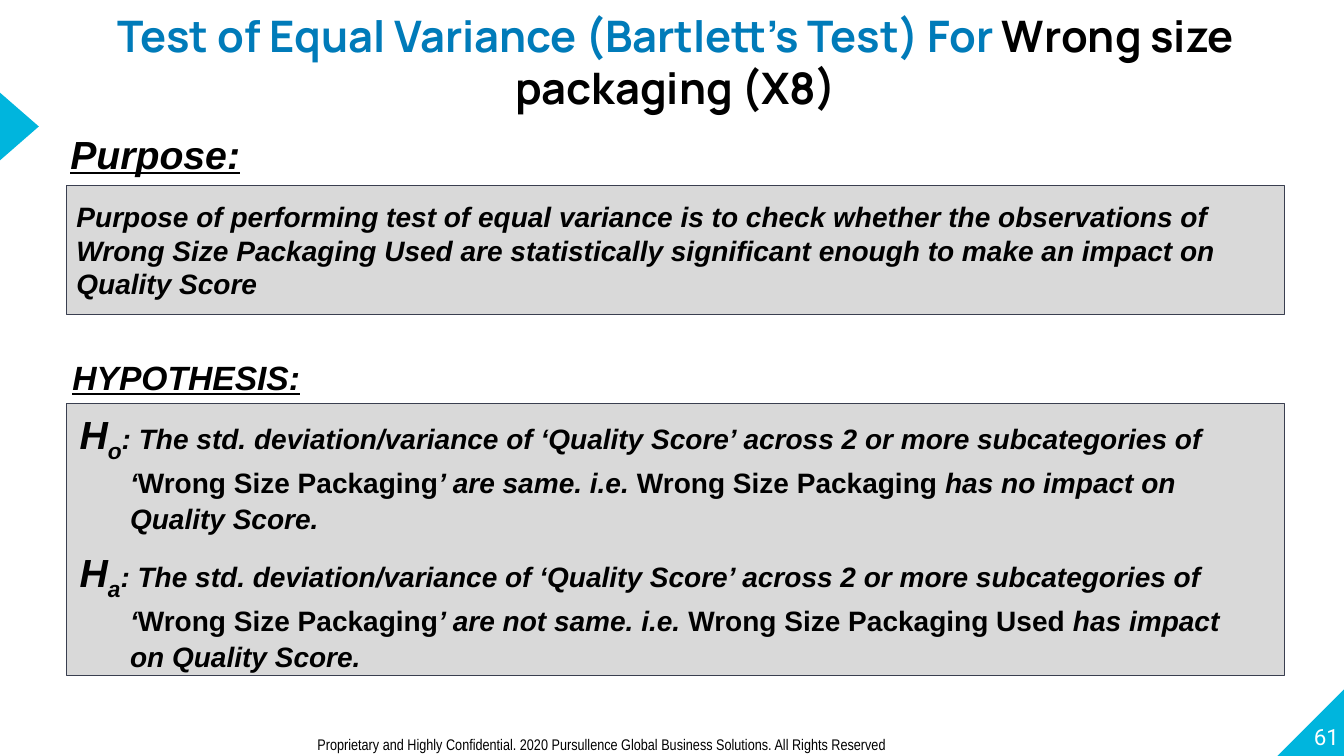
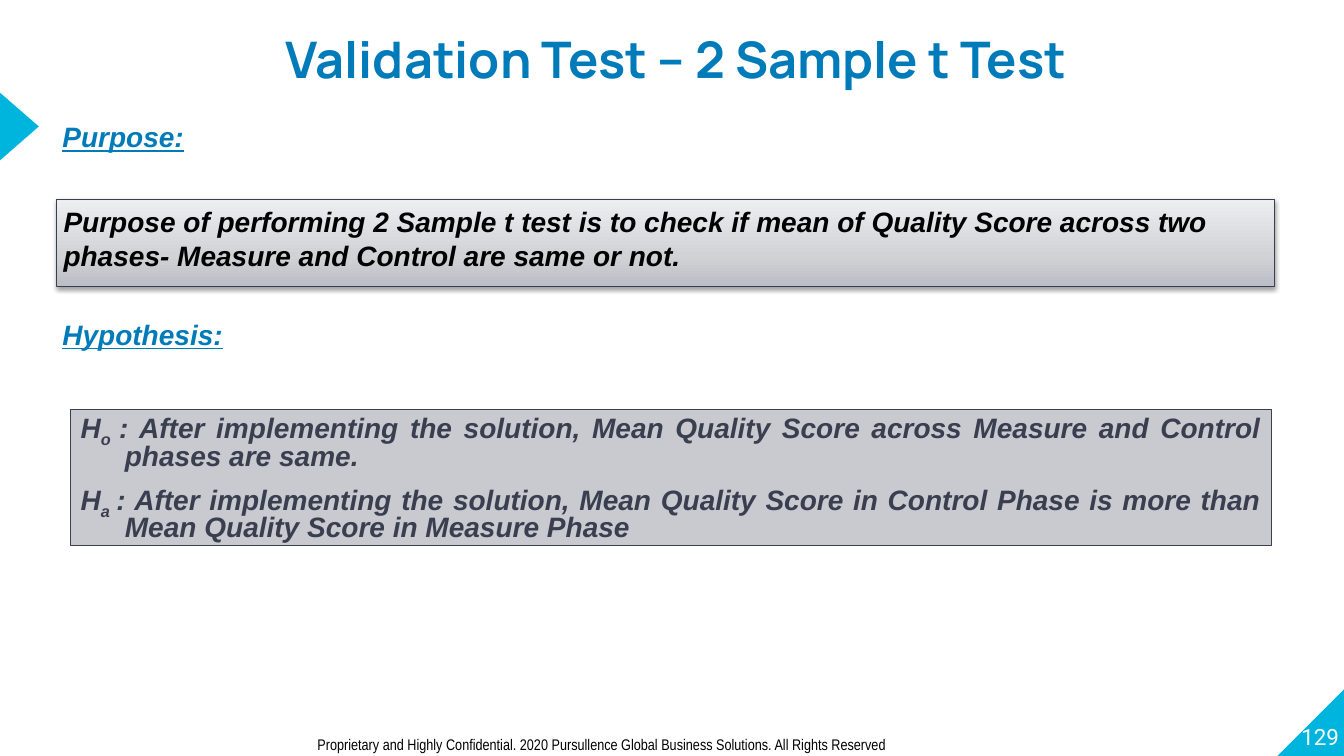
from copy import deepcopy

from lxml import etree
from pptx import Presentation
from pptx import util as u
from pptx.dml import color
from pptx.enum import shapes, text
from pptx.oxml import ns

CYAN = "00B5DD"
BLUE = "007BB9"
BLACK = "000000"
WHITE = "FFFFFF"
SLATE = "3A3F50"
GREY = "D9D9D9"
SILVER = "C8CAD0"
GRADIENT = [(0, "BCBEC5"), (0.35, "D0D2D6"), (1, "EDEEF0")]

TITLE = {"name": "Manrope", "bold": True}
BODY = {"name": "Arial", "size": u.Pt(20), "bold": True, "italic": True}
HEADING = BODY | {"underline": True}
PAGE = {"name": "Roboto", "size": u.Pt(16)}
FOOTER = {"name": "Arial Narrow", "size": u.Pt(11)}
UPRIGHT = {"italic": False}
FOOTER_TEXT = (
    "Proprietary and Highly Confidential. 2020 Pursullence Global "
    "Business Solutions. All Rights Reserved"
)

STANDARD_INSETS = (0.1, 0.05, 0.1, 0.05)
NO_INSETS = (0, 0, 0, 0)
TOP = text.MSO_ANCHOR.TOP
MIDDLE = text.MSO_ANCHOR.MIDDLE
BOTTOM = text.MSO_ANCHOR.BOTTOM
LEFT = text.PP_ALIGN.LEFT
CENTER = text.PP_ALIGN.CENTER
RIGHT = text.PP_ALIGN.RIGHT
JUSTIFY = text.PP_ALIGN.JUSTIFY


def rgb(value):
    return color.RGBColor.from_string(value)


def apply(target, values):
    for name, value in values.items():
        setattr(target, name, value)


def add_run(paragraph, content, style, hue, subscript=False):
    run = paragraph.add_run()
    run.text = content
    apply(run.font, style)
    run.font.color.rgb = rgb(hue)
    if subscript:
        run._r.get_or_add_rPr().set("baseline", "-25000")


def format_frame(frame, insets=STANDARD_INSETS, anchor=TOP):
    sides = ("margin_left", "margin_top", "margin_right", "margin_bottom")
    apply(frame, dict(zip(sides, map(u.Inches, insets))))
    apply(frame, {"word_wrap": True, "vertical_anchor": anchor})


def add_text(slide, box, runs, style, align=LEFT, insets=STANDARD_INSETS, anchor=TOP, spacing=1):
    shape = slide.shapes.add_textbox(*map(u.Inches, box))
    format_frame(shape.text_frame, insets, anchor)
    paragraph = shape.text_frame.paragraphs[0]
    apply(paragraph, {"alignment": align, "line_spacing": spacing})
    for content, hue in runs:
        add_run(paragraph, content, style, hue)


def add_shape(slide, kind, box, fill=None, line=None):
    shape = slide.shapes.add_shape(kind, *map(u.Inches, box))
    shape.shadow.inherit = False
    if fill:
        shape.fill.solid()
        shape.fill.fore_color.rgb = rgb(fill)
    if line:
        shape.line.color.rgb = rgb(line)
        shape.line.width = u.Pt(0.75)
    else:
        shape.line.fill.background()
    return shape


def add_panel(slide, box, fill=None, insets=STANDARD_INSETS):
    panel = add_shape(slide, shapes.MSO_SHAPE.RECTANGLE, box, fill, SLATE)
    format_frame(panel.text_frame, insets)
    return panel


def add_purpose(panel, content):
    paragraph = panel.text_frame.paragraphs[0]
    paragraph.alignment = LEFT
    add_run(paragraph, content, BODY, BLACK)


def add_hypotheses(panel, hypotheses, hue, symbol_size, indent, gap, layout):
    frame = panel.text_frame
    symbol = BODY | {"size": u.Pt(symbol_size)}
    for index, (letter, runs) in enumerate(hypotheses):
        paragraph = frame.add_paragraph() if index else frame.paragraphs[0]
        apply(paragraph, layout)
        if index:
            paragraph.space_before = u.Pt(gap)
        properties = paragraph._p.get_or_add_pPr()
        properties.set("marL", str(u.Inches(indent)))
        properties.set("indent", str(-u.Inches(indent)))
        add_run(paragraph, "H", symbol, hue)
        add_run(paragraph, letter, symbol, hue, subscript=True)
        for content, changes in runs:
            add_run(paragraph, content, BODY | changes, hue)


def fill_gradient(shape, stops):
    shape.fill.gradient()
    shape.fill.gradient_angle = 90
    first = shape.fill.gradient_stops[0]._gs
    first.addnext(deepcopy(first))
    for stop, (position, hue) in zip(shape.fill.gradient_stops, stops):
        stop.position = position
        stop.color.rgb = rgb(hue)


def add_shadow(shape, blur, distance, opacity):
    effects = shape._element.spPr.find(ns.qn("a:effectLst"))
    shadow = etree.SubElement(
        effects, ns.qn("a:outerShdw"), blurRad=str(u.Pt(blur)),
        dist=str(u.Pt(distance)), dir="5400000", rotWithShape="0",
    )
    hue = etree.SubElement(shadow, ns.qn("a:srgbClr"), val=BLACK)
    etree.SubElement(hue, ns.qn("a:alpha"), val=str(opacity * 1000))


def add_heading(slide, box, content, size, hue):
    add_text(slide, box, [(content, hue)], HEADING | {"size": u.Pt(size)})


def add_title(slide, box, runs, size, **options):
    style = TITLE | {"size": u.Pt(size)}
    add_text(slide, box, runs, style, CENTER, NO_INSETS, **options)


def start_slide(presentation, number):
    slide = presentation.slides.add_slide(presentation.slide_layouts[6])
    corner = add_shape(slide, shapes.MSO_SHAPE.RIGHT_TRIANGLE, (12.67, 6.82, 0.68, 0.68), CYAN)
    corner._element.spPr.xfrm.set("flipH", "1")
    pointer = add_shape(slide, shapes.MSO_SHAPE.ISOSCELES_TRIANGLE, (-0.15, 1.06, 0.68, 0.39), CYAN)
    pointer.rotation = 90
    add_text(slide, (12.61, 6.76, 0.67, 0.68), [(number, WHITE)], PAGE, RIGHT, NO_INSETS, BOTTOM)
    add_text(slide, (3.05, 7.24, 8.51, 0.26), [(FOOTER_TEXT, BLACK)], FOOTER)
    return slide


def variance_runs(verdict, subject, impact):
    return [
        (": The std. deviation/variance of ‘Quality Score’ across 2 or more subcategories of ‘", {}),
        ("Wrong Size Packaging", UPRIGHT),
        (f"’ are {verdict}. i.e. ", {}),
        (subject, UPRIGHT),
        (f" {impact} on Quality Score.", {}),
    ]


def build_variance_slide(presentation):
    slide = start_slide(presentation, "61")
    title = [
        ("Test of Equal Variance (Bartlett’s Test) For ", BLUE),
        ("Wrong size packaging (X8)", BLACK),
    ]
    add_title(slide, (1.16, 0.02, 11.08, 1.18), title, 31, anchor=MIDDLE)
    add_heading(slide, (0.6, 1.24, 3, 0.57), "Purpose:", 28, BLACK)
    purpose = add_panel(slide, (0.66, 1.84, 12.08, 1.28), GREY, (0.1, 0.14, 0.04, 0.05))
    add_purpose(
        purpose,
        "Purpose of performing test of equal variance is to check whether the "
        "observations of Wrong Size Packaging Used are statistically significant "
        "enough to make an impact on Quality Score",
    )
    add_heading(slide, (0.62, 3.49, 5.33, 0.5), "HYPOTHESIS:", 24, BLACK)
    panel = add_panel(slide, (0.66, 4, 12.08, 2.7), GREY, (0.13, 0.05, 0.45, 0))
    hypotheses = [
        ("o", variance_runs("same", "Wrong Size Packaging", "has no impact")),
        ("a", variance_runs("not same", "Wrong Size Packaging Used", "has impact")),
    ]
    layout = {"alignment": LEFT, "line_spacing": 1.05}
    add_hypotheses(panel, hypotheses, BLACK, 28, 0.5, 8, layout)


def build_validation_slide(presentation):
    slide = start_slide(presentation, "129")
    title = [("Validation Test – 2 Sample t Test", BLUE)]
    add_title(slide, (1.85, -0.02, 9.71, 0.76), title, 36, spacing=1.5)
    add_heading(slide, (0.52, 1.14, 12.08, 0.44), "Purpose:", 20, BLUE)
    purpose = add_panel(slide, (0.56, 1.98, 12.08, 0.86), insets=(0.07, 0.05, 0.11, 0.05))
    fill_gradient(purpose, GRADIENT)
    add_shadow(purpose, 3.1, 1.6, 38)
    add_purpose(
        purpose,
        "Purpose of performing 2 Sample t test is to check if mean of Quality "
        "Score across two phases- Measure and Control are same or not.",
    )
    add_heading(slide, (0.52, 3.1, 5.47, 0.44), "Hypothesis:", 20, BLUE)
    panel = add_panel(slide, (0.7, 4.06, 11.91, 1.35), SILVER)
    opening = ": After implementing the solution, Mean Quality Score "
    hypotheses = [
        ("o ", [(opening + "across Measure and Control phases are same.", {})]),
        ("a ", [(opening + "in Control Phase is more than Mean Quality Score in Measure Phase", {})]),
    ]
    layout = {"alignment": JUSTIFY, "line_spacing": 0.8}
    add_hypotheses(panel, hypotheses, SLATE, 20, 0.44, 10, layout)


def main():
    presentation = Presentation()
    presentation.slide_width = u.Inches(13.33)
    presentation.slide_height = u.Inches(7.5)
    build_variance_slide(presentation)
    build_validation_slide(presentation)
    presentation.save("out.pptx")


if __name__ == "__main__":
    main()
